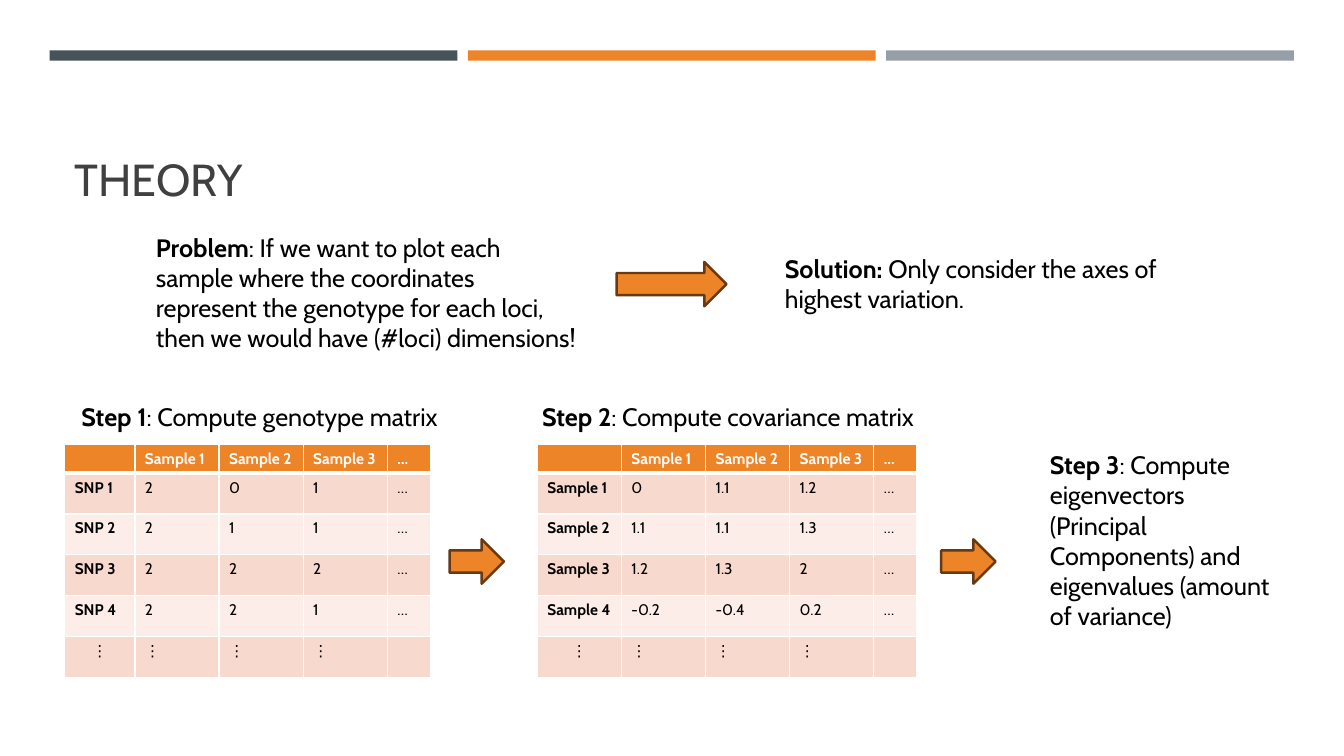
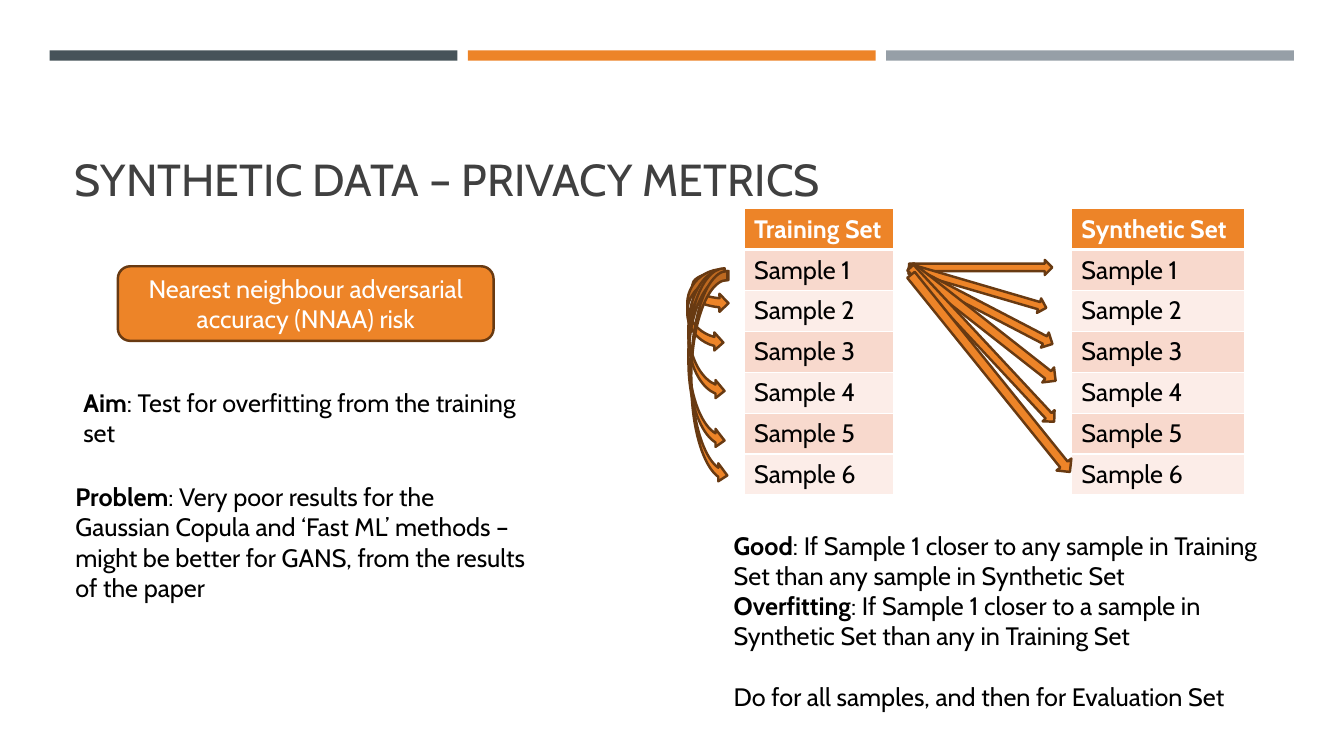
"""Build two slides on principal component theory and synthetic data privacy metrics."""
from lxml.etree import SubElement
from pptx import Presentation
from pptx.dml.color import RGBColor
from pptx.enum.shapes import MSO_SHAPE as Preset
from pptx.enum.text import MSO_ANCHOR as Anchor, PP_ALIGN as Align
from pptx.oxml.ns import qn
from pptx.util import Cm, Pt

FONT = "Cabin"
SLATE, ORANGE, GREY = "465359", "ED8428", "969FA7"
BROWN, CHARCOAL, BLACK, WHITE = "683A12", "404040", "000000", "FFFFFF"
ROW_TINTS = ["FCEDE8", "F8D9CD"]
rgb = RGBColor.from_string


def add_run(paragraph, text, size, color, bold=False):
    run = paragraph.add_run()
    run.text = text
    run.font.name = FONT
    run.font.size = Pt(size)
    run.font.bold = bold
    run.font.color.rgb = rgb(color)


def add_block(slide, preset, box, fill, line=None):
    block = slide.shapes.add_shape(preset, *map(Cm, box))
    block.shadow.inherit = False
    block.fill.solid()
    block.fill.fore_color.rgb = rgb(fill)
    if line:
        block.line.color.rgb = rgb(line)
        block.line.width = Pt(1.75)
    else:
        block.line.fill.background()
    return block


deck = Presentation()
deck.slide_width, deck.slide_height = Cm(33.87), Cm(19.05)
theory, privacy = [deck.slides.add_slide(deck.slide_layouts[6]) for _ in range(2)]

for slide, heading in [(theory, "THEORY"), (privacy, "SYNTHETIC DATA – PRIVACY METRICS")]:
    for index, color in enumerate([SLATE, ORANGE, GREY]):
        add_block(slide, Preset.RECTANGLE, (1.25 + index * 10.54, 1.27, 10.28, 0.26), color)
    title = slide.shapes.add_textbox(Cm(1.63), Cm(2), Cm(30.63), Cm(3.3)).text_frame
    title.word_wrap = True
    title.vertical_anchor = Anchor.BOTTOM
    add_run(title.paragraphs[0], heading, 32, CHARCOAL)

passages = [
    (theory, (3.68, 5.72, 11.13, 3.33), [
        ("Problem", ": If we want to plot each sample where the coordinates represent "
                    "the genotype for each loci, then we would have (#loci) dimensions!")]),
    (theory, (19.53, 6.25, 11.13, 1.8), [
        ("Solution: ", "Only consider the axes of highest variation.")]),
    (theory, (1.8, 9.98, 10.31, 1.02), [("Step 1", ": Compute genotype matrix")]),
    (theory, (13.41, 9.98, 10.31, 1.02), [("Step 2", ": Compute covariance matrix")]),
    (theory, (26.21, 11.2, 6.43, 4.11), [
        ("Step 3", ": Compute eigenvectors (Principal Components) and eigenvalues "
                   "(amount of variance)")]),
    (privacy, (1.85, 9.63, 11.86, 1.8), [
        ("Aim", ": Test for overfitting from the training set")]),
    (privacy, (1.65, 12.01, 11.86, 3.33), [
        ("Problem", ": Very poor results for the Gaussian Copula and ‘Fast ML’ methods – "
                    "might be better for GANS, from the results of the paper")]),
    (privacy, (18.24, 13.23, 13.97, 4.88), [
        ("Good", ": If Sample 1 closer to any sample in Training Set than any sample "
                 "in Synthetic Set"),
        ("Overfitting", ": If Sample 1 closer to a sample in Synthetic Set than any "
                        "in Training Set"),
        ("", "Do for all samples, and then for Evaluation Set")]),
]
for slide, box, statements in passages:
    passage = slide.shapes.add_textbox(*map(Cm, box)).text_frame
    passage.word_wrap = True
    for index, (term, wording) in enumerate(statements):
        paragraph = passage.paragraphs[0] if index == 0 else passage.add_paragraph()
        if term:
            add_run(paragraph, term, 18, BLACK, True)
        else:
            paragraph.space_before = Pt(21.6)
        add_run(paragraph, wording, 18, BLACK)

samples = [f"Sample {number}" for number in range(1, 7)]
matrix_head = ["", *samples[:3], "…"]
matrix_foot = ["⋮"] * 4 + [""]
genotypes = [
    matrix_head,
    ["SNP 1", "2", "0", "1", "…"],
    ["SNP 2", "2", "1", "1", "…"],
    ["SNP 3", "2", "2", "2", "…"],
    ["SNP 4", "2", "2", "1", "…"],
    matrix_foot,
]
covariances = [
    matrix_head,
    ["Sample 1", "0", "1.1", "1.2", "…"],
    ["Sample 2", "1.1", "1.1", "1.3", "…"],
    ["Sample 3", "1.2", "1.3", "2", "…"],
    ["Sample 4", "-0.2", "-0.4", "0.2", "…"],
    matrix_foot,
]
training, synthetic = [[[name] for name in [head, *samples]]
                       for head in ("Training Set", "Synthetic Set")]

grids = [
    (theory, 1.63, 11.2, [1.77, 2.12, 2.12, 2.12, 1.08], 0.69, 11, genotypes),
    (theory, 13.54, 11.2, [2.12, 2.12, 2.12, 2.12, 1.08], 0.69, 11, covariances),
    (privacy, 18.75, 5.26, [3.78], 1.03, 18, training),
    (privacy, 27, 5.26, [4.37], 1.03, 18, synthetic),
]
for slide, left, top, widths, head_height, size, rows in grids:
    grid = slide.shapes.add_table(len(rows), len(widths), Cm(left), Cm(top),
                                  Cm(sum(widths)), Cm(head_height + 1.03 * (len(rows) - 1))).table
    for column, width in zip(grid.columns, widths):
        column.width = Cm(width)
    for r, values in enumerate(rows):
        grid.rows[r].height = Cm(1.03 if r else head_height)
        for c, value in enumerate(values):
            cell = grid.cell(r, c)
            edges = cell._tc.get_or_add_tcPr()
            for side in "LRTB":
                thick = (r, side) in [(0, "B"), (1, "T")]
                edge = SubElement(edges, qn(f"a:ln{side}"), w=str(Pt(3 if thick else 1)))
                SubElement(SubElement(edge, qn("a:solidFill")), qn("a:srgbClr"), val=WHITE)
            cell.fill.solid()
            cell.fill.fore_color.rgb = rgb(ROW_TINTS[r % 2] if r else ORANGE)
            paragraph = cell.text_frame.paragraphs[0]
            if value == "⋮" and c == 0:
                paragraph.alignment = Align.CENTER
            if value:
                row_label = c == 0 and len(widths) > 1 and value != "⋮"
                add_run(paragraph, value, size, BLACK if r else WHITE, r == 0 or row_label)
            else:
                SubElement(paragraph._p, qn("a:endParaRPr"), sz=str(size * 100))

risk = add_block(privacy, Preset.ROUNDED_RECTANGLE, (2.97, 6.71, 9.47, 1.88), ORANGE, BROWN)
risk.text_frame.word_wrap = True
risk.text_frame.vertical_anchor = Anchor.MIDDLE
risk_name = risk.text_frame.paragraphs[0]
risk_name.alignment = Align.CENTER
add_run(risk_name, "Nearest neighbour adversarial accuracy (NNAA) risk", 18, WHITE)

for box in [(15.54, 6.6, 2.77, 1.12), (11.33, 13.59, 1.37, 1.12), (23.72, 13.59, 1.37, 1.12)]:
    add_block(theory, Preset.RIGHT_ARROW, box, ORANGE, BROWN)

for left, top, height in [(17.45, 6.83, 1.04), (17.32, 6.78, 2.08), (17.35, 6.78, 3.3),
                          (17.35, 6.76, 4.57), (17.42, 6.83, 5.38)]:
    add_block(privacy, Preset.CURVED_RIGHT_ARROW, (left, top, 0.91, height), ORANGE, BROWN)

comparisons = [
    ((22.91, 6.55, 3.61, 0.38), 0),
    ((22.83, 7.06, 3.61, 0.38), 16.3),
    ((22.71, 7.52, 4.04, 0.43), 27.5),
    ((22.45, 7.92, 4.65, 0.48), 38.1),
    ((22.1, 8.48, 5.31, 0.41), 47),
    ((21.77, 9.17, 6.38, 0.48), 51.1),
]
for box, angle in comparisons:
    add_block(privacy, Preset.RIGHT_ARROW, box, ORANGE, BROWN).rotation = angle

deck.save("out.pptx")
